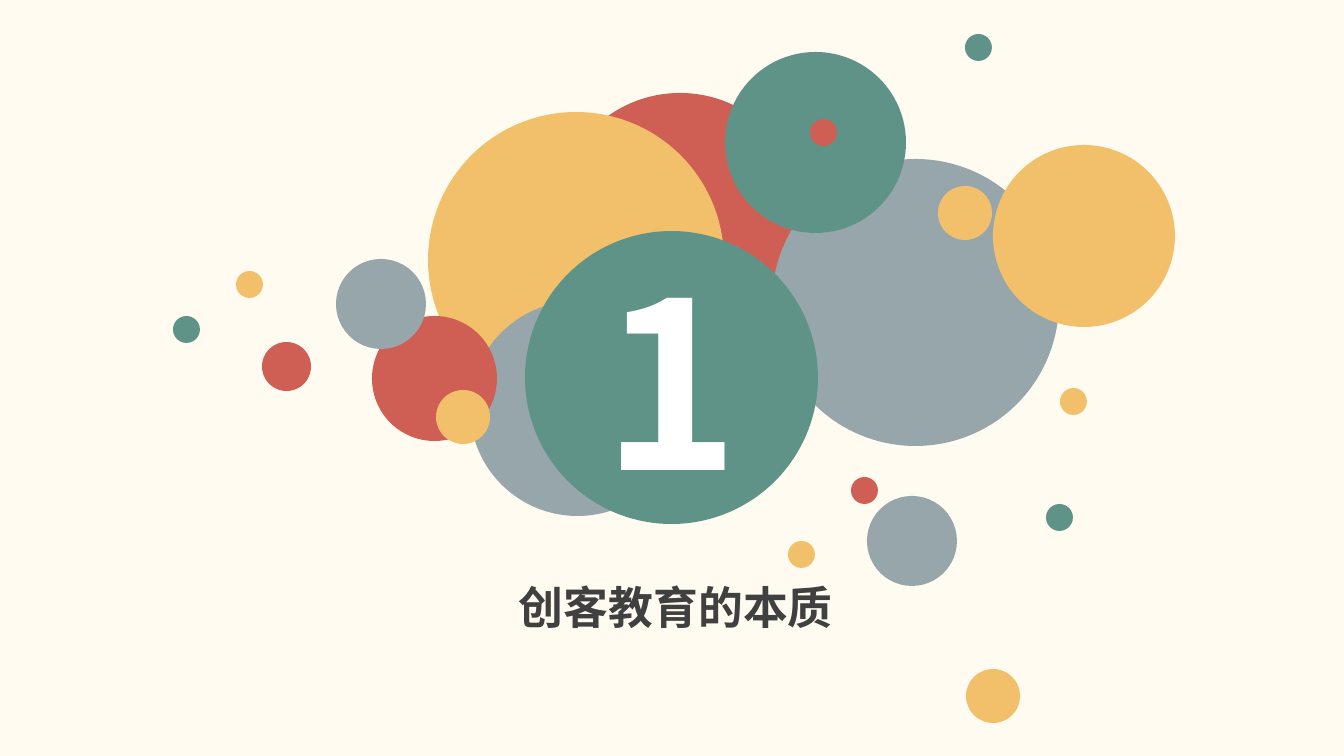
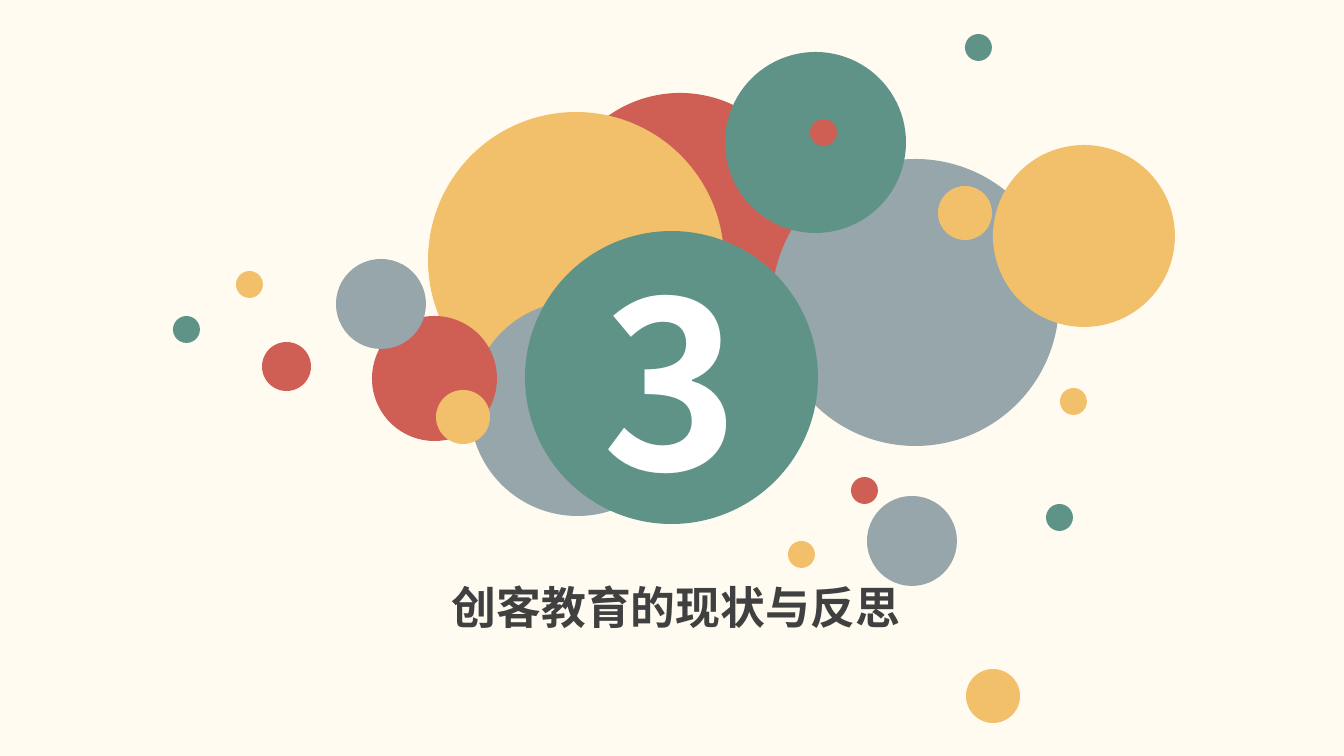
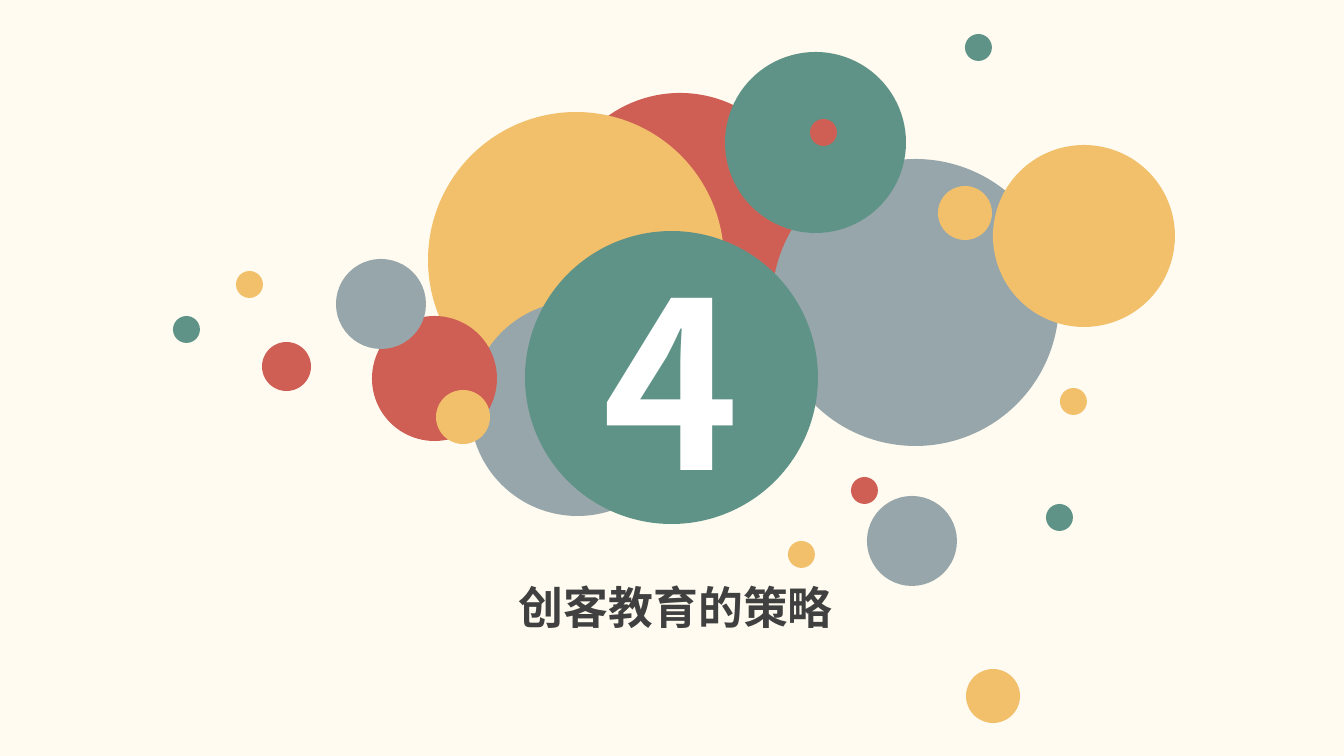
"""Build the numbered section slides of a talk on maker education."""
import pptx
import pptx.dml.color
import pptx.enum.shapes
import pptx.enum.text
import pptx.oxml.ns
import pptx.util
from lxml import etree

RGBColor = pptx.dml.color.RGBColor
CREAM = RGBColor(0xFF, 0xFB, 0xF0)
RED = RGBColor(0xCF, 0x5F, 0x55)
YELLOW = RGBColor(0xF2, 0xC0, 0x6B)
GREY = RGBColor(0x97, 0xA6, 0xAB)
GREEN = RGBColor(0x5F, 0x93, 0x87)
WHITE = RGBColor(0xFF, 0xFF, 0xFF)
CHARCOAL = RGBColor(0x40, 0x40, 0x40)

FONT = "Noto Sans CJK SC"
WIDTH, HEIGHT = 1344, 756
SCALE = 12192000 / WIDTH
DOT, BEAD, BALL = 27, 54, 90

BUBBLES = [
    (556, 93, 248, RED),
    (428, 112, 296, YELLOW),
    (470, 301, 215, GREY),
    (772, 159, 287, GREY),
    (725, 52, 181, GREEN),
    (372, 316, 125, RED),
    (867, 496, BALL, GREY),
    (851, 477, DOT, RED),
    (788, 541, DOT, YELLOW),
    (1046, 504, DOT, GREEN),
    (966, 669, BEAD, YELLOW),
    (993, 145, 182, YELLOW),
    (336, 259, BALL, GREY),
    (262, 342, 49, RED),
    (236, 271, DOT, YELLOW),
    (173, 316, DOT, GREEN),
    (436, 390, BEAD, YELLOW),
    (810, 119, DOT, RED),
    (1060, 388, DOT, YELLOW),
    (965, 34, DOT, GREEN),
    (938, 186, BEAD, YELLOW),
]
NUMBER_BUBBLE = (525, 231, 293, GREEN)

SECTIONS = [
    ("1", "创客教育的本质"),
    ("3", "创客教育的现状与反思"),
    ("4", "创客教育的策略"),
]


def px(n):
    """Turn pixels into EMU."""
    return pptx.util.Emu(round(n * SCALE))


def add_text(tf, text, size, color):
    """Write one bold centred run into a text frame."""
    p = tf.paragraphs[0]
    p.alignment = pptx.enum.text.PP_ALIGN.CENTER
    r = p.add_run()
    r.text = text
    r.font.size = pptx.util.Pt(size)
    r.font.bold = True
    r.font.name = FONT
    r.font.color.rgb = color
    ea = etree.SubElement(r.font._element, pptx.oxml.ns.qn("a:ea"))
    ea.set("typeface", FONT)


def add_bubble(slide, left, top, size, color):
    """Draw a plain filled circle."""
    sp = slide.shapes.add_shape(
        pptx.enum.shapes.MSO_SHAPE.OVAL, px(left), px(top), px(size), px(size))
    sp.shadow.inherit = False
    sp.fill.solid()
    sp.fill.fore_color.rgb = color
    sp.line.fill.background()
    return sp


def set_title(slide, text):
    """Place the section title in front, below the number."""
    sp = slide.shapes.title
    sp.left, sp.top, sp.width, sp.height = px(372), px(575), px(608), px(65)
    tf = sp.text_frame
    tf.word_wrap = True
    tf.auto_size = pptx.enum.text.MSO_AUTO_SIZE.SHAPE_TO_FIT_TEXT
    tf.vertical_anchor = pptx.enum.text.MSO_ANCHOR.TOP
    add_text(tf, text, 32, CHARCOAL)
    slide.shapes._spTree.append(sp._element)


def add_section(prs, number, title):
    """Add a section slide with its bubbles, number and title."""
    slide = prs.slides.add_slide(prs.slide_layouts.get_by_name("Title Only"))
    slide.background.fill.solid()
    slide.background.fill.fore_color.rgb = CREAM
    for bubble in BUBBLES:
        add_bubble(slide, *bubble)
    tf = add_bubble(slide, *NUMBER_BUBBLE).text_frame
    tf.vertical_anchor = pptx.enum.text.MSO_ANCHOR.MIDDLE
    add_text(tf, number, 166, WHITE)
    set_title(slide, title)


def main():
    """Build and save the presentation."""
    prs = pptx.Presentation()
    prs.slide_width, prs.slide_height = px(WIDTH), px(HEIGHT)
    for number, title in SECTIONS:
        add_section(prs, number, title)
    prs.save("out.pptx")


main()
